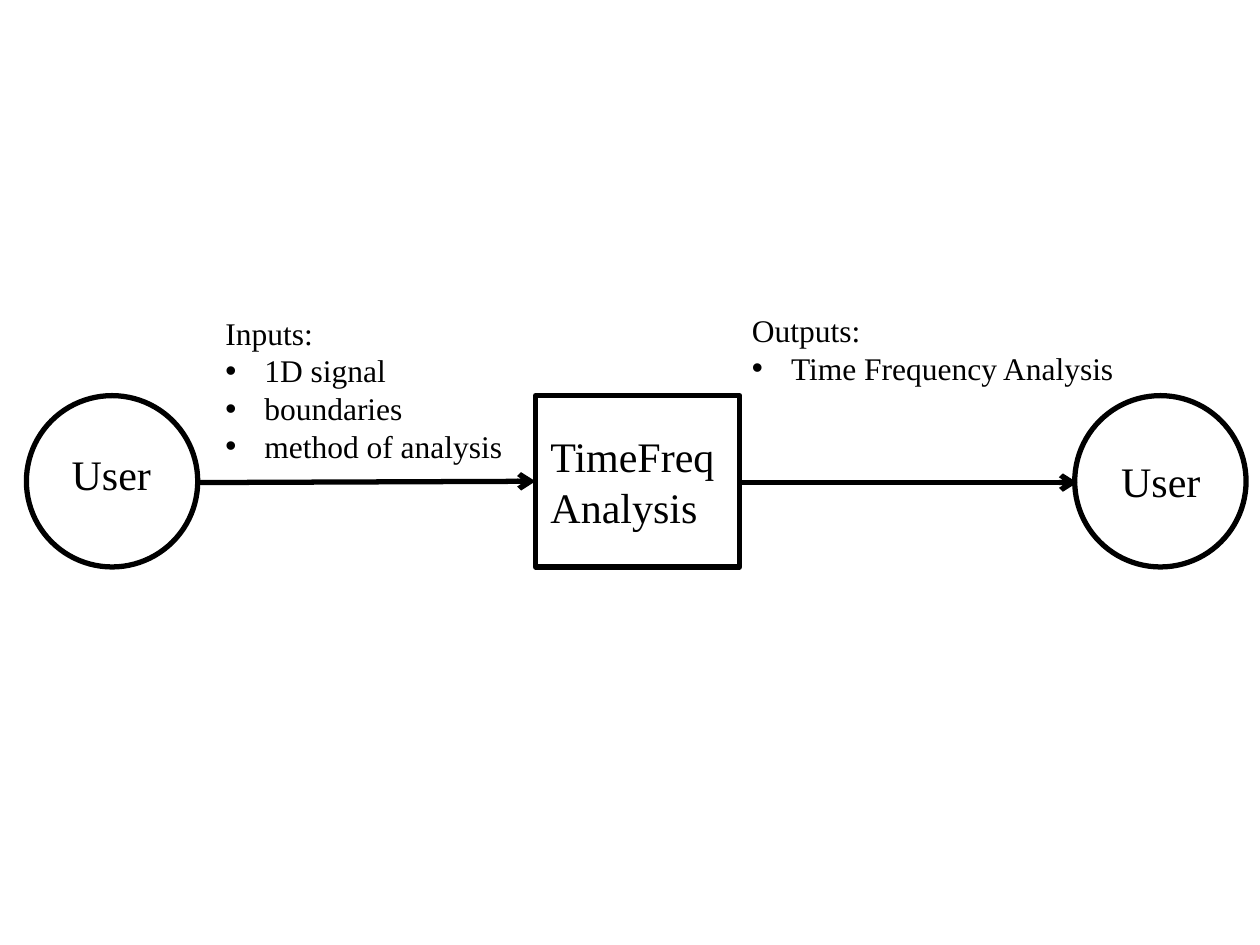
from dataclasses import dataclass
from lxml.etree import SubElement
from pptx import Presentation
from pptx.dml.color import RGBColor
from pptx.enum.shapes import MSO_CONNECTOR, MSO_SHAPE
from pptx.enum.text import MSO_AUTO_SIZE
from pptx.oxml.ns import qn
from pptx.util import Inches, Pt


@dataclass(frozen=True)
class Theme:
    """Colours, font and sizes of the diagram."""
    ink: RGBColor = RGBColor(0, 0, 0)
    font: str = "Times New Roman"
    node_size: int = 24
    flow_size: int = 18
    line_width: int = 3
    bullet_indent: float = 0.31


class FlowDiagram:
    """Draws on one slide, with a grid of 100 columns by 75 rows."""

    def __init__(self, presentation, theme):
        self.theme = theme
        self.column = presentation.slide_width / 100
        self.row = presentation.slide_height / 75
        self.slide = presentation.slides.add_slide(presentation.slide_layouts[6])

    def place(self, left, top, width, height):
        return (round(left * self.column), round(top * self.row),
                round(width * self.column), round(height * self.row))

    def style_line(self, line):
        line.color.rgb = self.theme.ink
        line.width = Pt(self.theme.line_width)

    def outline(self, kind, *box):
        shape = self.slide.shapes.add_shape(kind, *self.place(*box))
        shape.shadow.inherit = False
        shape.fill.background()
        self.style_line(shape.line)

    def arrow(self, *ends):
        connector = self.slide.shapes.add_connector(
            MSO_CONNECTOR.STRAIGHT, *self.place(*ends))
        self.style_line(connector.line)
        SubElement(connector.line._get_or_add_ln(), qn("a:tailEnd"), type="arrow")
        SubElement(connector._element.spPr, qn("a:effectLst"))

    def text(self, lines, size, *box, wrap=False):
        text_frame = self.slide.shapes.add_textbox(*self.place(*box)).text_frame
        text_frame.word_wrap = wrap
        text_frame.auto_size = MSO_AUTO_SIZE.SHAPE_TO_FIT_TEXT
        text_frame.text = "\n".join(lines)
        for index, paragraph in enumerate(text_frame.paragraphs):
            font = paragraph.runs[0].font
            font.name, font.size = self.theme.font, Pt(size)
            font.color.rgb = self.theme.ink
            if index:
                self.bullet(paragraph)

    def bullet(self, paragraph):
        indent = Inches(self.theme.bullet_indent)
        properties = paragraph._p.get_or_add_pPr()
        properties.set("marL", str(indent))
        properties.set("indent", str(-indent))
        SubElement(properties, qn("a:buFont"), typeface="Arial")
        SubElement(properties, qn("a:buChar"), char="•")


def main():
    presentation = Presentation()
    presentation.slide_width, presentation.slide_height = Inches(10), Inches(7.5)
    theme = Theme()
    diagram = FlowDiagram(presentation, theme)

    node_top, node_height = 31.4, 13.6
    for left, label_left, label_top in ((2.1, 4.7, 35.1), (85.3, 88, 35.7)):
        diagram.outline(MSO_SHAPE.OVAL, left, node_top, node_height, node_height)
        diagram.text(["User"], theme.node_size, label_left, label_top, 8.3, 5)

    diagram.outline(MSO_SHAPE.RECTANGLE, 42.5, node_top, 16.2, node_height)
    diagram.text(["TimeFreqAnalysis"], theme.node_size, 42.7, 33.7, 15.1, 9.1, wrap=True)

    for start, end, end_row in ((15.7, 42.5, 38.2), (58.7, 85.5, 38.3)):
        diagram.arrow(start, 38.3, end, end_row)

    diagram.text(["Inputs: ", "1D signal", "boundaries", "method of analysis"],
                 theme.flow_size, 16.9, 24.4, 24.2, 13.1)
    diagram.text(["Outputs:", "Time Frequency Analysis"],
                 theme.flow_size, 58.7, 24.2, 31, 7.1)

    presentation.save("out.pptx")


main()
